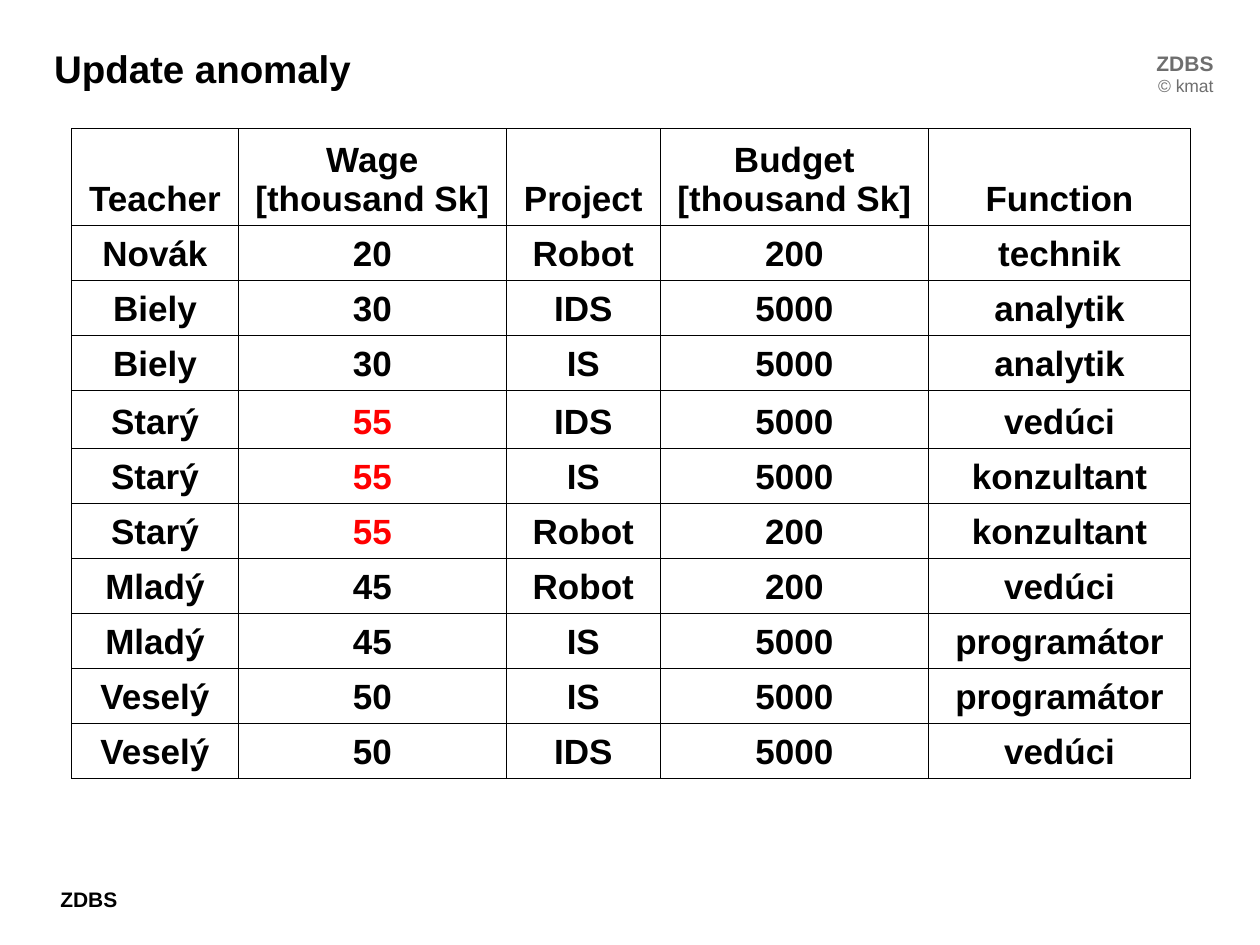
from typing import NamedTuple

from lxml import etree
from pptx import Presentation
from pptx.dml.color import RGBColor
from pptx.enum.text import MSO_ANCHOR, MSO_AUTO_SIZE, PP_ALIGN
from pptx.oxml.ns import qn
from pptx.util import Inches, Pt

LEFT, MID, RIGHT = PP_ALIGN.LEFT, PP_ALIGN.CENTER, PP_ALIGN.RIGHT
CENTRE, BOTTOM = MSO_ANCHOR.MIDDLE, MSO_ANCHOR.BOTTOM
GROW = MSO_AUTO_SIZE.SHAPE_TO_FIT_TEXT
FONT = "Arial"
HEX = {"ink": "000000", "gray": "6E6E6E", "red": "FF0000"}


class Line(NamedTuple):
    text: str
    size: float
    color: str = "ink"
    bold: bool = True


class Label(NamedTuple):
    left: float
    top: float
    width: float
    height: float
    align: PP_ALIGN
    lines: list[Line]


# Labels are wide enough to hold the course mark on one line
LABELS = [
    Label(0.38, 6.99, 0.68, 0.5, LEFT, [Line("ZDBS", 12)]),
    Label(9.05, 0.35, 0.68, 0.47, RIGHT,
          [Line("ZDBS", 12, "gray"), Line("© kmat", 10, "gray", False)]),
]

COLS = [1.32, 2.13, 1.22, 2.13, 2.08]
HEAD = ["Teacher", "Wage\n[thousand Sk]", "Project",
        "Budget\n[thousand Sk]", "Function"]
ROWS = [
    ["Novák", "20", "Robot", "200", "technik"],
    ["Biely", "30", "IDS", "5000", "analytik"],
    ["Biely", "30", "IS", "5000", "analytik"],
    ["Starý", "55", "IDS", "5000", "vedúci"],
    ["Starý", "55", "IS", "5000", "konzultant"],
    ["Starý", "55", "Robot", "200", "konzultant"],
    ["Mladý", "45", "Robot", "200", "vedúci"],
    ["Mladý", "45", "IS", "5000", "programátor"],
    ["Veselý", "50", "IS", "5000", "programátor"],
    ["Veselý", "50", "IDS", "5000", "vedúci"],
]
# The header and one body row are taller; the rest share what remains
TOTAL, TOP, TALL = 5.16, 0.77, 0.46
EVEN = (TOTAL - TOP - TALL) / (len(ROWS) - 1)
HIGH = [TOP] + [EVEN] * 3 + [TALL] + [EVEN] * 6
UPDATED = "55"


def write(frame, lines: list[Line], align: PP_ALIGN) -> None:
    for i, line in enumerate(lines):
        para = frame.add_paragraph() if i else frame.paragraphs[0]
        para.alignment = align
        run = para.add_run()
        run.text = line.text
        font = run.font
        font.name, font.size, font.bold = FONT, Pt(line.size), line.bold
        font.color.rgb = RGBColor.from_string(HEX[line.color])


def place(shape, left: float, top: float, width: float, height: float) -> None:
    shape.left, shape.top = Inches(left), Inches(top)
    shape.width, shape.height = Inches(width), Inches(height)


def add_title(slide, text: str) -> None:
    title = slide.shapes.title
    place(title, 0.43, 0.21, 6.5, 0.66)
    frame = title.text_frame
    frame.margin_left = frame.margin_right = 0
    frame.vertical_anchor = CENTRE
    write(frame, [Line(text, 22)], LEFT)


def add_label(slide, label: Label) -> None:
    box = slide.shapes.add_textbox(0, 0, 0, 0)
    frame = box.text_frame
    frame.word_wrap = False
    frame.auto_size = GROW
    write(frame, label.lines, label.align)
    place(box, *label[:4])


def add_edges(cell, width: float) -> None:
    props = cell._tc.get_or_add_tcPr()
    for side in ("lnL", "lnR", "lnT", "lnB"):
        edge = etree.SubElement(props, qn(f"a:{side}"), w=str(Pt(width)))
        fill = etree.SubElement(edge, qn("a:solidFill"))
        etree.SubElement(fill, qn("a:srgbClr"), val=HEX["ink"])


def add_grid(slide) -> None:
    data = [HEAD] + ROWS
    shape = slide.shapes.add_table(
        len(data), len(COLS), Inches(0.57), Inches(1.02),
        Inches(sum(COLS)), Inches(TOTAL))
    table = shape.table
    table.horz_banding = False
    for col, width in zip(table.columns, COLS):
        col.width = Inches(width)
    for row, height, texts in zip(table.rows, HIGH, data):
        row.height = Inches(height)
        for cell, text in zip(row.cells, texts):
            add_edges(cell, 0.45)
            cell.fill.background()
            cell.vertical_anchor = BOTTOM
            color = "red" if text == UPDATED else "ink"
            lines = [Line(part, 20, color) for part in text.split("\n")]
            write(cell.text_frame, lines, MID)


def main() -> None:
    deck = Presentation()
    deck.slide_width, deck.slide_height = Inches(10), Inches(7.5)
    slide = deck.slides.add_slide(deck.slide_layouts[5])
    # Footer and course mark
    for label in LABELS:
        add_label(slide, label)
    # Title and table
    add_title(slide, "Update anomaly")
    add_grid(slide)
    deck.save("out.pptx")


if __name__ == "__main__":
    main()
